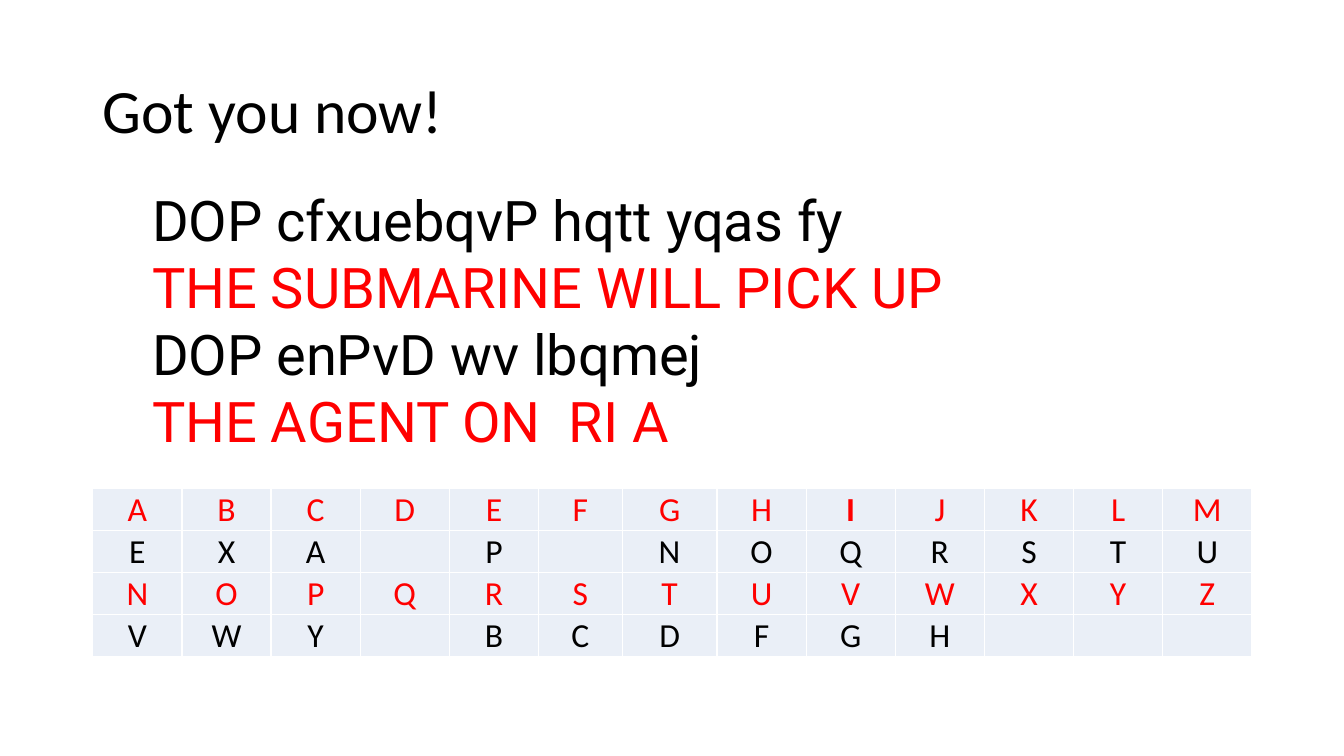
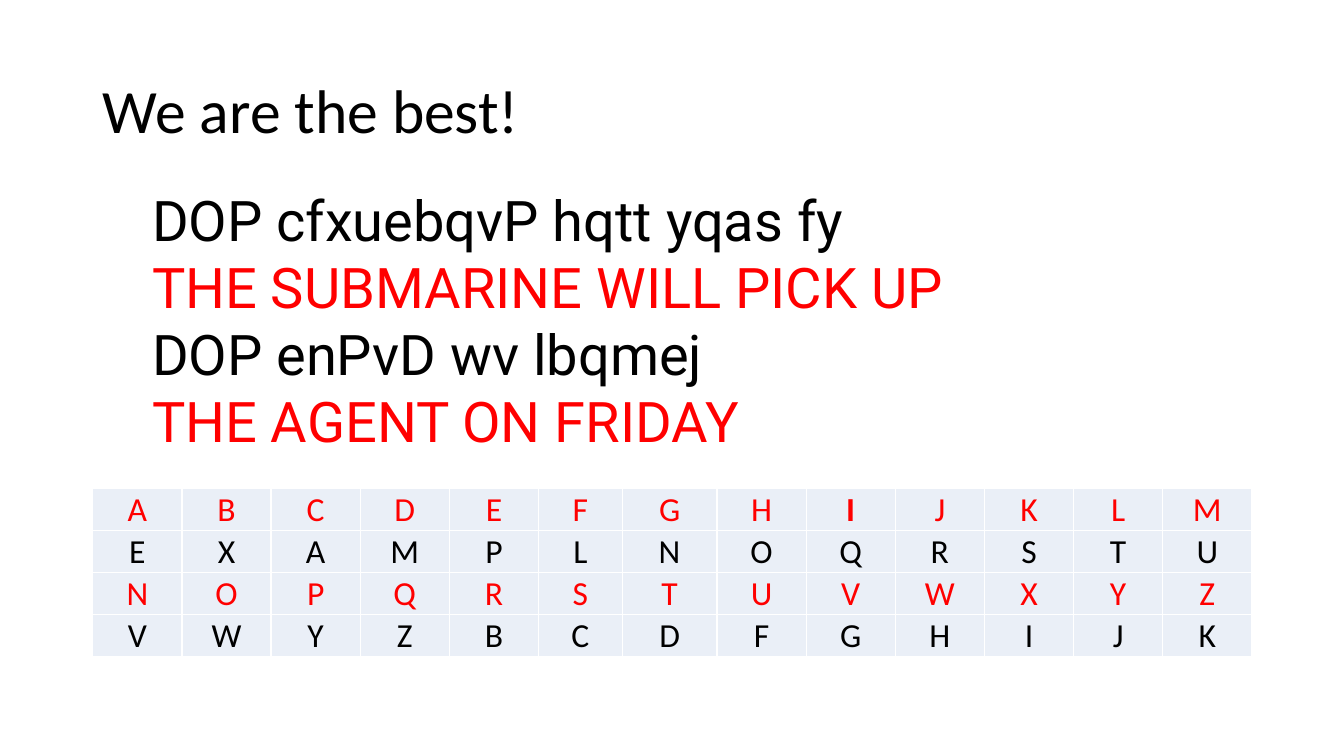
from lxml import etree
from pptx import Presentation
from pptx.dml.color import RGBColor
from pptx.enum import text
from pptx.oxml.ns import qn
from pptx.util import Inches, Pt

BLACK = RGBColor(0x00, 0x00, 0x00)
RED = RGBColor(0xFF, 0x00, 0x00)
WHITE = RGBColor(0xFF, 0xFF, 0xFF)
PALE_BLUE = RGBColor(0xEA, 0xEF, 0xF7)

LINE_COLORS = (BLACK, RED, BLACK, RED)  # cipher text, then its solution
ROW_COLORS = (RED, BLACK, RED, BLACK)  # plain letters, then their cipher

# A space in a row of letters is a cell still to be solved.
SLIDES = [
    {
        "title": "Got you now!",
        "last_line": "THE AGENT ON  RI A",
        "key": ("EXA P NOQRSTU", "VWY BCDFGH   "),
    },
    {
        "title": "We are the best!",
        "last_line": "THE AGENT ON FRIDAY",
        "key": ("EXAMPLNOQRSTU", "VWYZBCDFGHIJK"),
    },
]
MESSAGE = ("DOP cfxuebqvP hqtt yqas fy", "THE SUBMARINE WILL PICK UP", "DOP enPvD wv lbqmej")
ALPHABET = ("ABCDEFGHIJKLM", "NOPQRSTUVWXYZ")
BOLD_LETTER = (0, ALPHABET[0].index("I"))

TITLE_BOX = (0.92, 0.4, 11.5, 1.45)
MESSAGE_BOX = (1.41, 1.79, 9.72, 2.79)
TABLE_BOX = (0.92, 4.85, 11.5, 1.66)
SPECIAL_WIDTHS = {5: 0.83, 6: 0.94}

TITLE_FONT = {"name": "Calibri", "size": Pt(44)}
MESSAGE_FONT = {"name": "Roboto", "size": Pt(40)}
CELL_FONT = {"name": "Calibri", "size": Pt(24)}
CELL_FORMAT = {
    "vertical_anchor": text.MSO_ANCHOR.BOTTOM,
    "margin_left": Inches(0.01),
    "margin_right": Inches(0.01),
    "margin_top": Inches(0.01),
    "margin_bottom": 0,
}


def apply(target, values):
    for name, value in values.items():
        setattr(target, name, value)


def inches(box):
    return [Inches(length) for length in box]


def write(paragraph, words, font, color):
    run = paragraph.add_run()
    run.text = words
    apply(run.font, font)
    run.font.color.rgb = color
    return run


def add_text(slide, box, lines, font, colors, anchor=text.MSO_ANCHOR.TOP, spacing=None):
    frame = slide.shapes.add_textbox(*inches(box)).text_frame
    apply(frame, {"word_wrap": True, "vertical_anchor": anchor})
    for index, (line, color) in enumerate(zip(lines, colors)):
        paragraph = frame.add_paragraph() if index else frame.paragraphs[0]
        paragraph.line_spacing = spacing
        write(paragraph, line, font, color)


def add_borders(cell):
    properties = cell._tc.get_or_add_tcPr()
    for index, side in enumerate(("a:lnL", "a:lnR", "a:lnT", "a:lnB")):
        line = etree.Element(qn(side), w=str(Pt(1)))
        fill = etree.SubElement(line, qn("a:solidFill"))
        etree.SubElement(fill, qn("a:srgbClr"), val=str(WHITE))
        properties.insert(index, line)


def add_key_table(slide, key):
    """Alternate each half of the alphabet with its cipher letters."""
    rows = [letters for pair in zip(ALPHABET, key) for letters in pair]
    count = len(ALPHABET[0])
    table = slide.shapes.add_table(len(rows), count, *inches(TABLE_BOX)).table
    apply(table, {"first_row": False, "horz_banding": False})

    width, height = TABLE_BOX[2:]
    regular = (width - sum(SPECIAL_WIDTHS.values())) / (count - len(SPECIAL_WIDTHS))
    for index, column in enumerate(table.columns):
        column.width = Inches(SPECIAL_WIDTHS.get(index, regular))
    for row in table.rows:
        row.height = Inches(height / len(rows))

    for row_index, (letters, color) in enumerate(zip(rows, ROW_COLORS)):
        for column_index, letter in enumerate(letters):
            cell = table.cell(row_index, column_index)
            apply(cell, CELL_FORMAT)
            cell.fill.solid()
            cell.fill.fore_color.rgb = PALE_BLUE
            add_borders(cell)
            paragraph = cell.text_frame.paragraphs[0]
            paragraph.alignment = text.PP_ALIGN.CENTER
            if letter != " ":
                run = write(paragraph, letter, CELL_FONT, color)
                run.font.bold = (row_index, column_index) == BOLD_LETTER


def main():
    presentation = Presentation()
    apply(presentation, {"slide_width": Inches(13.33), "slide_height": Inches(7.5)})
    for content in SLIDES:
        slide = presentation.slides.add_slide(presentation.slide_layouts[6])
        add_text(slide, TITLE_BOX, [content["title"]], TITLE_FONT, [BLACK],
                 text.MSO_ANCHOR.MIDDLE, 0.9)
        add_key_table(slide, content["key"])
        add_text(slide, MESSAGE_BOX, [*MESSAGE, content["last_line"]], MESSAGE_FONT, LINE_COLORS)
    presentation.save("out.pptx")


if __name__ == "__main__":
    main()
